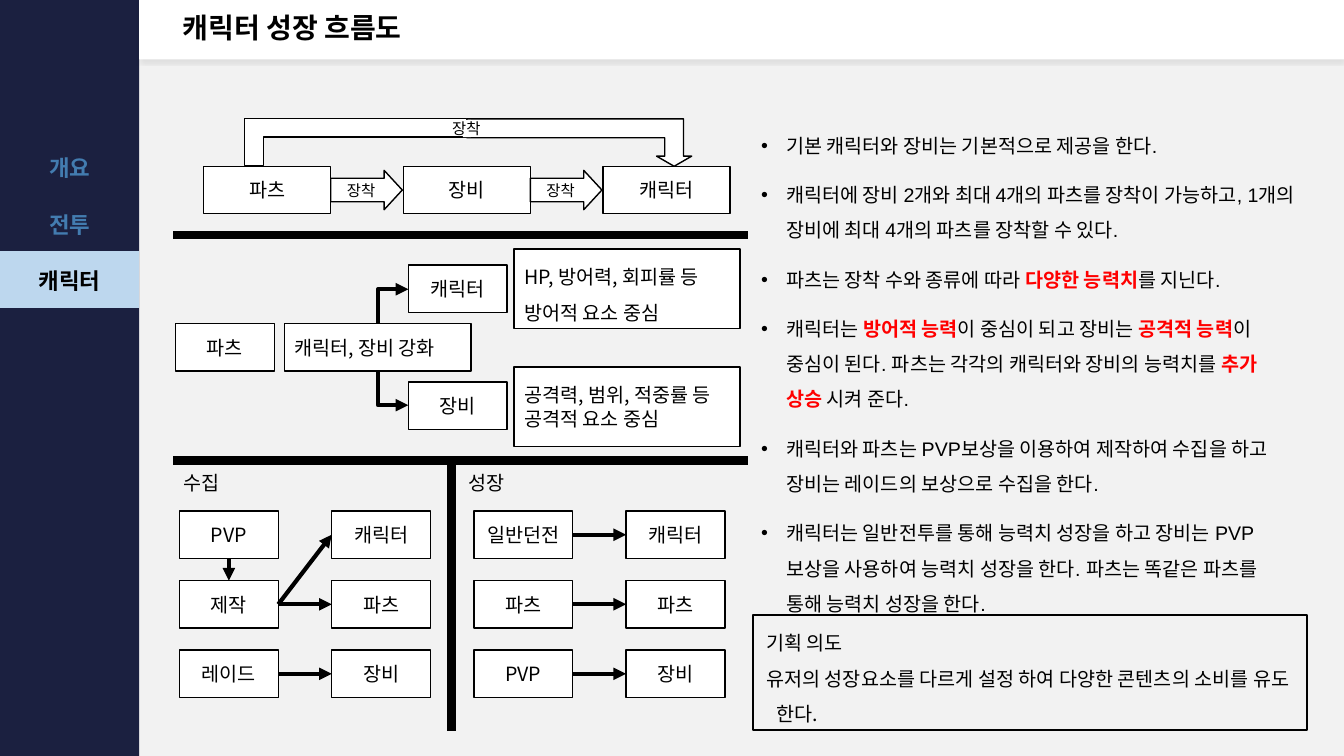
from lxml import etree
from pptx import Presentation
from pptx import util as u
from pptx.dml.color import RGBColor
from pptx.enum import shapes, text
from pptx.oxml import ns

NAVY = RGBColor(0x1B, 0x20, 0x40)
BLUE = RGBColor(0x43, 0x7C, 0xB0)
PALE = RGBColor(0xBD, 0xD7, 0xEE)
GREY = RGBColor(0xF2, 0xF2, 0xF2)
WHITE = RGBColor(0xFF, 0xFF, 0xFF)
BLACK = RGBColor(0, 0, 0)
RED = RGBColor(0xFF, 0, 0)
NOTO = "Noto Sans CJK KR"
KIND = shapes.MSO_SHAPE
MID = text.MSO_ANCHOR.MIDDLE
MID_X = text.PP_ALIGN.CENTER
LEFT = text.PP_ALIGN.LEFT
TOP_SIDE, LEFT_SIDE, LOW_SIDE, RIGHT_SIDE = range(4)
PLAIN = "{2D5ABB26-0587-4C30-8999-92F81FD0307C}"


def sub(parent, tag, **attrs):
    return etree.SubElement(parent, ns.qn(tag), **attrs)


class Board:
    def __init__(self, deck):
        self.slide = deck.slides.add_slide(deck.slide_layouts[5])
        self.items = self.slide.shapes
        fill = self.slide.background.fill
        fill.solid()
        fill.fore_color.rgb = GREY

    def style(self, para, size=14, face=NOTO, color=BLACK, bold=False, align=LEFT, gap=None):
        para.alignment = align
        if gap:
            para.line_spacing = gap
        font = para.font
        font.size, font.name, font.bold = u.Pt(size), face, bold
        font.color.rgb = color
        latin = para._p.pPr.find(ns.qn("a:defRPr")).find(ns.qn("a:latin"))
        east = etree.Element(ns.qn("a:ea"), typeface=NOTO)
        latin.addnext(east)

    def indent(self, para, inches):
        props = para._p.get_or_add_pPr()
        props.set("marL", str(u.Inches(inches)))
        props.set("indent", str(-u.Inches(inches)))
        return props

    def title(self, words, area):
        head = self.items.title
        head.left, head.top, head.width, head.height = map(u.Inches, area)
        head.text_frame.text = words
        head.text_frame.vertical_anchor = MID
        self.style(head.text_frame.paragraphs[0], 20, "Arial", bold=True, gap=0.9)

    def box(self, area, words="", kind=KIND.RECTANGLE, fill=WHITE, line=1,
            size=14, align=MID_X, gap=None, turn=0, adj=()):
        shape = self.items.add_shape(kind, *map(u.Inches, area))
        shape.shadow.inherit = False
        shape.rotation = turn
        for i, part in enumerate(adj):
            shape.adjustments[i] = part
        if fill is None:
            shape.fill.background()
        else:
            shape.fill.solid()
            shape.fill.fore_color.rgb = fill
        if line:
            shape.line.color.rgb = BLACK
            shape.line.width = u.Pt(line)
        else:
            shape.line.fill.background()
        if words:
            shape.text_frame.text = words
            shape.text_frame.vertical_anchor = MID
            for para in shape.text_frame.paragraphs:
                self.style(para, size, align=align, gap=gap)
        return shape

    def shade(self, shape):
        effect = shape._element.spPr.find(ns.qn("a:effectLst"))
        outer = sub(effect, "a:outerShdw", blurRad=str(u.Pt(2)), dist=str(u.Pt(2)), dir="5400000")
        sub(sub(outer, "a:srgbClr", val="000000"), "a:alpha", val="8000")

    def pad(self, frame):
        frame.margin_left = frame.margin_right = u.Inches(0.13)
        frame.margin_top = frame.margin_bottom = u.Inches(0.06)
        frame.auto_size = text.MSO_AUTO_SIZE.SHAPE_TO_FIT_TEXT

    def label(self, area, words, size=14, align=LEFT, wrap=True):
        frame = self.items.add_textbox(*map(u.Inches, area)).text_frame
        frame.text = words
        frame.word_wrap = wrap
        frame.vertical_anchor = MID
        self.style(frame.paragraphs[0], size, align=align)
        if not wrap:
            self.pad(frame)

    def wire(self, ends, width, kind=shapes.MSO_CONNECTOR.STRAIGHT, head=False):
        line = self.items.add_connector(kind, *map(u.Inches, ends))
        line.line.color.rgb = BLACK
        line.line.width = u.Pt(width)
        if head:
            sub(line.line._get_or_add_ln(), "a:tailEnd", type="triangle")
        sub(line._element.spPr, "a:effectLst")
        return line

    def join(self, start, end, out=RIGHT_SIDE, into=LEFT_SIDE):
        line = self.wire((0, 0, 1, 1), 3, head=True)
        line.begin_connect(start, out)
        line.end_connect(end, into)

    def elbow(self, ends, turn):
        line = self.wire(ends, 3, shapes.MSO_CONNECTOR.ELBOW, True)
        props = line._element.spPr
        props.find(ns.qn("a:prstGeom")).set("prst", "bentConnector2")
        props.find(ns.qn("a:xfrm")).set("rot", str(turn * 60000))

    def menu(self, area, rows):
        frame = self.items.add_table(len(rows), 1, *map(u.Inches, area))
        table = frame.table
        table.first_row = table.horz_banding = False
        table._tbl.tblPr.find(ns.qn("a:tableStyleId")).text = PLAIN
        for i, (words, color, fill) in enumerate(rows):
            cell = table.cell(i, 0)
            cell.fill.solid()
            cell.fill.fore_color.rgb = fill
            cell.vertical_anchor = MID
            cell.text = words
            self.style(cell.text_frame.paragraphs[0], 16, color=color, bold=True, align=MID_X)

    def bullets(self, area, points):
        frame = self.items.add_textbox(*map(u.Inches, area)).text_frame
        frame.word_wrap = True
        for i, point in enumerate(points):
            para = frame.add_paragraph() if i else frame.paragraphs[0]
            if i:
                para.space_before = u.Pt(10)
            para.line_spacing = 1.5
            props = self.indent(para, 0.25)
            sub(props, "a:buFont", typeface="Arial")
            sub(props, "a:buChar", char="•")
            self.style(para, face="Arial", gap=1.5)
            for j, words in enumerate(point.split("*")):
                run = para.add_run()
                run.text = words
                if j % 2:
                    run.font.bold = True
                    run.font.color.rgb = RED


POINTS = [
    "기본 캐릭터와 장비는 기본적으로 제공을 한다.",
    "캐릭터에 장비 2개와 최대 4개의 파츠를 장착이 가능하고, 1개의 장비에 최대 4개의 파츠를 장착할 수 있다.",
    "파츠는 장착 수와 종류에 따라 *다양한 능력치*를 지닌다.",
    "캐릭터는 *방어적 능력*이 중심이 되고 장비는 *공격적 능력*이 중심이 된다. "
    "파츠는 각각의 캐릭터와 장비의 능력치를 *추가 상승* 시켜 준다.",
    "캐릭터와 파츠는 PVP보상을 이용하여 제작하여 수집을 하고 장비는 레이드의 보상으로 수집을 한다.",
    "캐릭터는 일반전투를 통해 능력치 성장을 하고 장비는 PVP보상을 사용하여 능력치 성장을 한다. "
    "파츠는 똑같은 파츠를 통해 능력치 성장을 한다.",
]
COLUMNS = [
    (1.78, ["PVP", "제작", "레이드"]),
    (3.29, ["캐릭터", "파츠", "장비"]),
    (4.7, ["일반던전", "파츠", "PVP"]),
    (6.21, ["캐릭터", "파츠", "장비"]),
]


def main():
    deck = Presentation()
    deck.slide_width, deck.slide_height = u.Inches(13.33), u.Inches(7.5)
    board = Board(deck)
    board.box((0, 0, 1.38, 7.5), fill=NAVY, line=0)
    band = board.box((1.38, 0, 11.95, 0.59), line=0)
    board.shade(band)
    title = board.items.title._element
    band._element.addnext(title)
    board.menu((0, 1.38, 1.38, 2.23), [
        ("개요", BLUE, NAVY), ("전투", BLUE, NAVY), ("캐릭터", BLACK, PALE), ("", BLUE, NAVY)])
    board.title("캐릭터 성장 흐름도", (1.71, 0, 10.09, 0.59))
    board.bullets((7.45, 1.16, 5.5, 5.98), POINTS)

    for i, words in enumerate(["파츠", "장비", "캐릭터"]):
        board.box((2.02 + 1.98 * i, 1.65, 1.26, 0.47), words)
    for x in (3.28, 5.26):
        board.box((x, 1.69, 0.71, 0.39), "장착", KIND.RIGHT_ARROW, size=11, adj=(0.597, 0.461))
    board.box((3.29, 0.31, 0.47, 2.2), kind=KIND.CORNER, turn=90, adj=(0.403, 0.396))
    board.box((5.51, 0.3, 0.47, 2.23), kind=KIND.BENT_ARROW, turn=90, adj=(0.397, 0.37, 0.213, 0))
    board.box((4.59, 1.19, 0.08, 0.17), line=0)
    board.label((4.15, 1.19, 0.95, 0.16), "장착", 11, MID_X)

    for y in (2.33, 4.57):
        board.wire((1.72, y, 7.42, y), 6)
    board.wire((4.48, 7.25, 4.48, 4.58), 6)

    for x, y, words in [(4.05, 2.63, "캐릭터"), (4.05, 3.79, "장비"), (1.74, 3.21, "파츠")]:
        board.box((x, y, 0.98, 0.47), words)
    board.box((5.1, 2.47, 2.24, 0.79), "HP, 방어력, 회피률 등 방어적 요소 중심", align=LEFT, gap=1.5)
    board.box((5.1, 3.64, 2.24, 0.79), "공격력, 범위, 적중률 등 공격적 요소 중심", align=LEFT)
    board.box((2.82, 3.21, 1.85, 0.47), "캐릭터, 장비 강화", align=LEFT)
    board.elbow((4.07, 3.19, 3.73, 2.89), 90)
    board.elbow((4.07, 3.7, 3.73, 4.0), 270)

    grid = [[board.box((x, 5.07 + 0.69 * i, 0.98, 0.47), words) for i, words in enumerate(names)]
            for x, names in COLUMNS]
    source, gain, dungeon, growth = grid
    for start, end in [*zip(source[1:], gain[1:]), *zip(dungeon, growth), (source[1], gain[0])]:
        board.join(start, end)
    board.join(source[0], source[1], LOW_SIDE, TOP_SIDE)

    aim = board.box((7.47, 6.1, 5.49, 1.14),
                    "기획 의도\n유저의 성장요소를 다르게 설정 하여 다양한 콘텐츠의 소비를 유도 한다.",
                    fill=None, line=1.5, align=LEFT, gap=1.5)
    board.pad(aim.text_frame)
    for para in aim.text_frame.paragraphs:
        board.indent(para, 0.1)
    for x, words in [(1.69, "수집"), (4.52, "성장")]:
        board.label((x, 4.6, 0.65, 0.37), words, wrap=False)
    deck.save("out.pptx")


if __name__ == "__main__":
    main()
